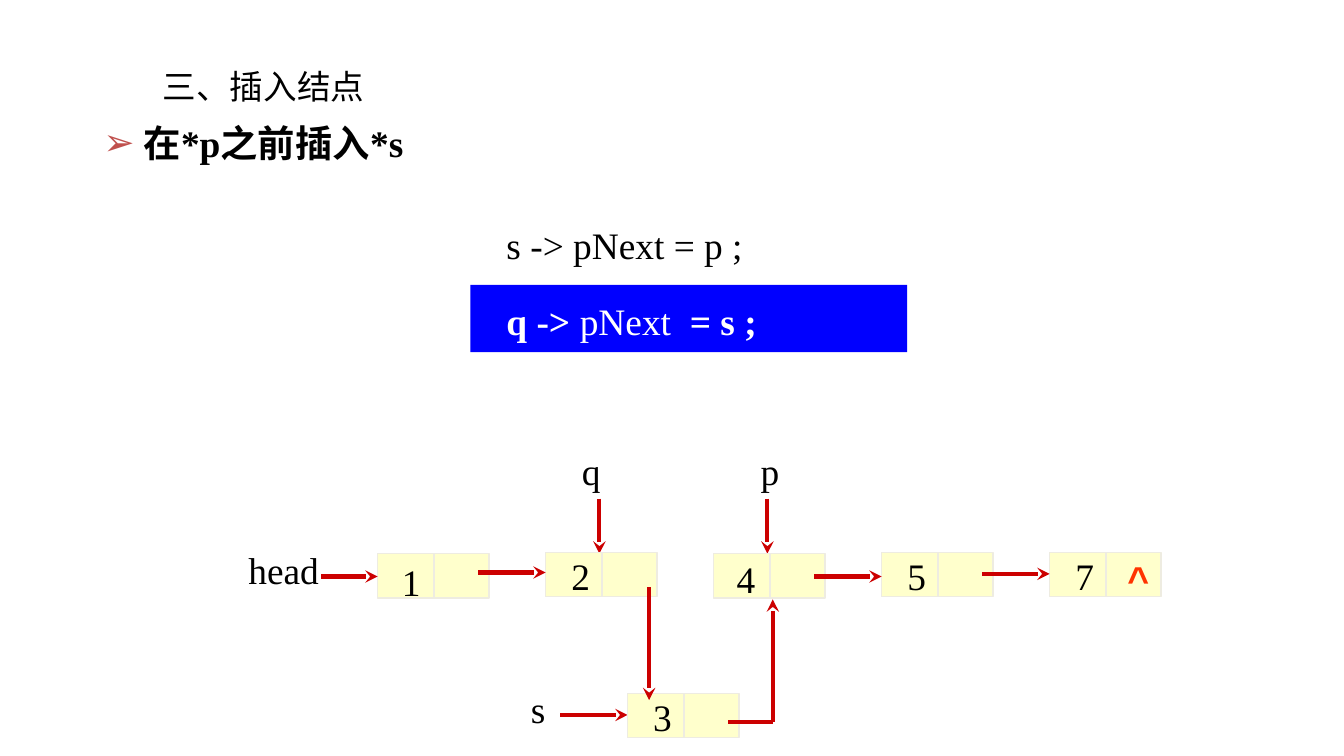
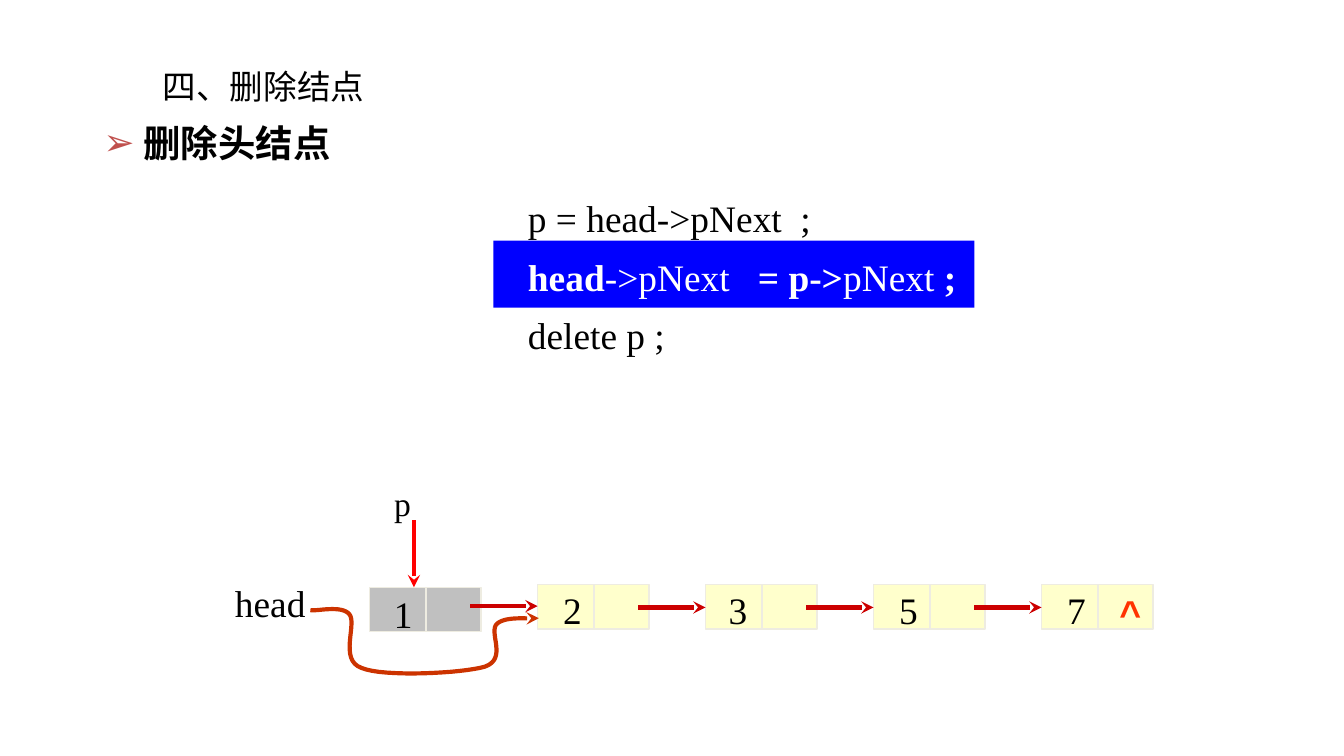
from dataclasses import dataclass

from lxml import etree
from pptx import Presentation, util as u
from pptx.dml import color as dml
from pptx.enum import shapes as es, text as et
from pptx.oxml import ns


@dataclass(frozen=True)
class Theme:
    ink: str = "000000"
    white: str = "FFFFFF"
    band: str = "0000FF"
    node: str = "FFFFCC"
    gone: str = "C0C0C0"
    edge: str = "EEECE1"
    link: str = "CC0000"
    mark: str = "FF0000"
    curve: str = "CC3300"
    caret: str = "FF3300"
    bullet: str = "C0504D"
    serif: str = "Times New Roman"
    sans: str = "Arial"
    head: str = "Calibri"
    body: int = 20
    small: int = 18
    thick: float = 2.25
    thin: float = 0.75


T = Theme()
SCALE = 9144
WIDE = 1000
PITCH = 125
NODE_W, NODE_H, SPLIT = 83, 33, 42
LEFT, MID = et.PP_ALIGN.LEFT, et.PP_ALIGN.CENTER


def px(n):
    return u.Emu(round(n * SCALE))


def rgb(code):
    return dml.RGBColor.from_string(code)


def add_xml(node, tag, **attrs):
    return etree.SubElement(node, ns.qn(tag), attrs)


def add_run(para, words, color=T.ink, bold=False, font=T.serif, size=T.body):
    run = para.add_run()
    run.text = words
    run.font.name = font
    run.font.size = u.Pt(size)
    run.font.bold = bold
    run.font.color.rgb = rgb(color)


def add_text(parts, box, lines, space=1.0, align=LEFT, wrap=True, anchor=et.MSO_ANCHOR.MIDDLE):
    shape = parts.add_textbox(*map(px, box))
    frame = shape.text_frame
    frame.word_wrap = wrap
    frame.vertical_anchor = anchor
    for i, runs in enumerate(lines):
        para = frame.add_paragraph() if i else frame.paragraphs[0]
        para.alignment = align
        para.line_spacing = space
        for run in runs:
            add_run(para, *run)
    return frame


def add_label(parts, x, y, words, wide=34, high=43, space=1.0, **style):
    frame = add_text(parts, (x, y, wide, high), [[]], space, MID, False)
    add_run(frame.paragraphs[0], words, **style)


def ink_line(shape, color, width, tip):
    shape.line.color.rgb = rgb(color)
    shape.line.width = u.Pt(width)
    if tip:
        add_xml(shape.get_or_add_ln(), "a:tailEnd", type="stealth")


def add_line(parts, x1, y1, x2, y2, color=T.link, width=T.thick, tip=True):
    line = parts.add_connector(es.MSO_CONNECTOR.STRAIGHT, *map(px, (x1, y1, x2, y2)))
    ink_line(line, color, width, tip)
    add_xml(line._element.spPr, "a:effectLst")


def add_rect(parts, box, fill, edge=None):
    rect = parts.add_shape(es.MSO_SHAPE.RECTANGLE, *map(px, box))
    rect.shadow.inherit = False
    rect.fill.solid()
    rect.fill.fore_color.rgb = rgb(fill)
    if edge:
        ink_line(rect, edge, T.thin, False)
    else:
        rect.line.fill.background()


def add_node(slide, x, y, words, dx=9, dy=-4, fill=T.node, end=None):
    parts = slide.shapes.add_group_shape().shapes
    add_rect(parts, (x, y, NODE_W, NODE_H), fill, T.edge)
    add_line(parts, x + SPLIT, y, x + SPLIT, y + NODE_H, T.edge, T.thin, False)
    add_label(parts, x + dx, y + dy, words)
    if end is not None:
        add_label(parts, x + 48, y + end, "^", wide=36, color=T.caret, bold=True, font=T.sans)


def add_chain(slide, x, y, nodes, links):
    for i, (drop, words, style) in enumerate(nodes):
        add_node(slide, x + i * PITCH, y + drop, words, **style)
    for i, drop in links:
        start = x + i * PITCH + 75
        add_line(slide.shapes, start, y + drop, start + 50, y + drop)


def add_curve(slide, x, y, start, arcs):
    spots = []
    last = start
    for a, b, c in arcs:
        for k in range(1, 17):
            t = k / 16
            s = 1 - t
            spots.append(tuple(
                px(base + s**3 * p + 3 * s * s * t * q + 3 * s * t * t * r + t**3 * w)
                for base, p, q, r, w in zip((x, y), last, a, b, c)))
        last = c
    pen = slide.shapes.build_freeform(px(x + start[0]), px(y + start[1]), scale=1.0)
    pen.add_line_segments(spots, close=False)
    shape = pen.convert_to_shape()
    shape.shadow.inherit = False
    shape.fill.background()
    ink_line(shape, T.curve, T.thick, True)


def add_head(slide, words, topic):
    title = slide.shapes.title
    title.left, title.top, title.width, title.height = map(px, (104, 44, 295, 43))
    frame = title.text_frame
    frame.auto_size = et.MSO_AUTO_SIZE.NONE
    frame.vertical_anchor = et.MSO_ANCHOR.TOP
    para = frame.paragraphs[0]
    para.alignment = LEFT
    para.space_before = u.Pt(3)
    para._p.get_or_add_pPr().set("indent", str(px(7)))
    add_run(para, words, font=T.head, size=T.small)

    frame = add_text(slide.shapes, (67, 71, 875, 57), [[(topic, T.ink, True)]],
                     space=1.4, anchor=et.MSO_ANCHOR.TOP)
    props = frame.paragraphs[0]._p.get_or_add_pPr()
    props.set("marL", str(px(30)))
    props.set("indent", str(px(-30)))
    tint = add_xml(props, "a:buClr")
    add_xml(tint, "a:srgbClr", val=T.bullet)
    add_xml(props, "a:buFont", typeface=T.sans)
    add_xml(props, "a:buChar", char="➢")


def add_code(slide, band, box, lines, space):
    add_rect(slide.shapes, band, T.band)
    add_text(slide.shapes, box, lines, space)


def add_insert(slide):
    parts = slide.shapes
    add_head(slide, "三、插入结点", "在*p之前插入*s")
    add_code(slide, (350, 212, 325, 50), (367, 140, 292, 117), [
        [("s -> pNext = p ;",)],
        [("q -> ", T.white, True), ("pNext", T.white), ("  = s ;", T.white, True)],
    ], 1.7)
    for words, x, tip in (("p", 556, 571), ("q", 423, 446)):
        add_label(parts, x, 329, words)
        add_line(parts, tip, 371, tip, 412)
    add_label(parts, 385, 512, "s", wide=31, high=37, space=0.8)
    add_line(parts, 417, 532, 467, 532)
    add_node(slide, 467, 516, "3")
    add_text(parts, (175, 402, 100, 43), [[("head",)]])
    add_chain(slide, 281, 411, [
        (1, "1", dict(dx=8, dy=-1)),
        (0, "2", {}),
        (1, "4", dict(dx=7, dy=-3)),
        (0, "5", {}),
        (0, "7", dict(end=-2)),
    ], [(0, 15), (2, 18), (3, 16)])
    add_line(parts, 239, 429, 281, 429)
    add_line(parts, 542, 537, 575, 537, tip=False)
    add_line(parts, 575, 537, 575, 446)
    add_line(parts, 483, 437, 483, 521)


def add_delete(slide):
    parts = slide.shapes
    add_head(slide, "四、删除结点", "删除头结点")
    add_code(slide, (367, 179, 358, 50), (383, 132, 348, 137), [
        [("p = head->pNext  ;",)],
        [("head", T.white, True), ("->pNext   ", T.white), ("= p->", T.white, True),
         ("pNext", T.white), (" ;", T.white, True)],
        [("delete p ;",)],
    ], 1.3)
    add_text(parts, (165, 427, 107, 43), [[("head",)]])
    add_chain(slide, 275, 435, [
        (2, "1", dict(dx=8, dy=-2, fill=T.gone)),
        (0, "2", dict(dy=-3)),
        (0, "3", dict(dx=7, dy=-3)),
        (0, "5", dict(dy=-3)),
        (0, "7", dict(dy=-3, end=-1)),
    ], [(0, 16), (1, 17), (2, 17), (3, 17)])
    add_line(parts, 308, 387, 308, 437, T.mark)
    add_label(parts, 283, 354, "p", wide=33, high=40, size=T.small)
    add_curve(slide, 231, 450, (0, 4), [
        ((5, 5), (23, 0), (29, 7)),
        ((35, 14), (21, 41), (38, 47)),
        ((54, 54), (114, 51), (130, 46)),
        ((147, 40), (132, 20), (139, 14)),
        ((146, 8), (164, 11), (170, 10)),
    ])


def main():
    deck = Presentation()
    deck.slide_width = px(WIDE)
    deck.slide_height = px(WIDE * 9 / 16)
    for build in (add_insert, add_delete):
        build(deck.slides.add_slide(deck.slide_layouts[5]))
    deck.save("out.pptx")


if __name__ == "__main__":
    main()
